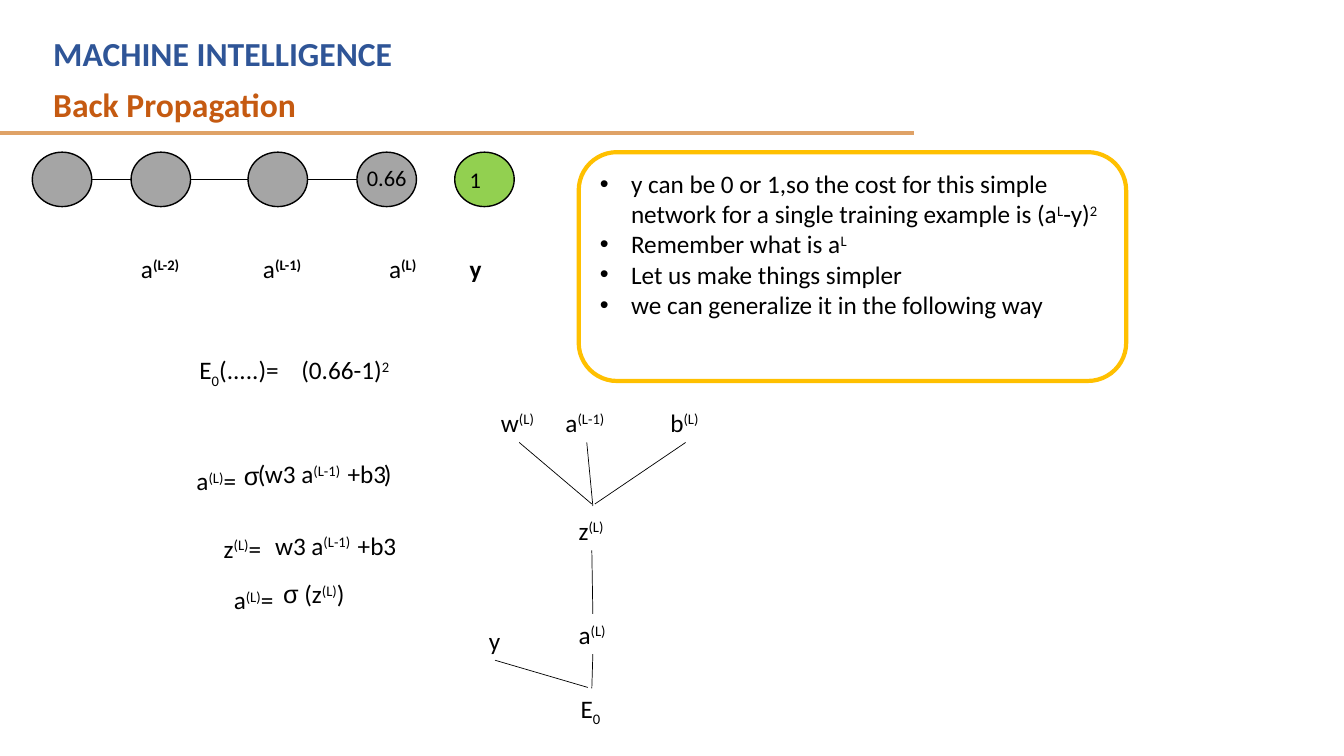
from lxml.etree import SubElement
from pptx import Presentation
from pptx.dml.color import RGBColor as Rgb
from pptx.enum.shapes import MSO_CONNECTOR as Conn, MSO_SHAPE as Shape
from pptx.enum.text import MSO_ANCHOR as Anchor, MSO_AUTO_SIZE as Auto, PP_ALIGN as Align
from pptx.oxml.ns import qn
from pptx.util import Pt

PX = 9144
HUES = {"blue": "2F5597", "rust": "C55A11", "tan": "DFA267", "gold": "FFC000",
        "gray": "A5A5A5", "green": "92D050", "black": "000000"}
BASE = {"^": "30000", "_": "-25000"}


def hue(name):
    return Rgb.from_string(HUES[name])


def emu(*nums):
    return [n * PX for n in nums]


def write(para, text, size=18, color="black", face="Calibri"):
    for part in text.split("|"):
        run = para.add_run()
        if part[0] in BASE:
            run._r.get_or_add_rPr().set("baseline", BASE[part[0]])
            part = part[1:]
        font = run.font
        font.bold = part[0] == "*"
        run.text = part.lstrip("*")
        font.size, font.name = Pt(size), face
        font.color.rgb = hue(color)


def label(slide, x, y, w, text, h=40, wrap=False, **style):
    frame = slide.shapes.add_textbox(*emu(x, y, w, h)).text_frame
    frame.word_wrap = wrap
    frame.auto_size = Auto.SHAPE_TO_FIT_TEXT
    write(frame.paragraphs[0], text, **style)


def line(slide, x1, y1, x2, y2, color="black", width=0.5):
    link = slide.shapes.add_connector(Conn.STRAIGHT, *emu(x1, y1, x2, y2))
    link.line.color.rgb = hue(color)
    link.line.width = Pt(width)
    SubElement(link._element.spPr, qn("a:effectLst"))


def panel(slide, kind, box, fill, edge, width):
    shape = slide.shapes.add_shape(kind, *emu(*box))
    shape.shadow.inherit = False
    if fill:
        shape.fill.solid()
        shape.fill.fore_color.rgb = hue(fill)
    else:
        shape.fill.background()
    shape.line.color.rgb = hue(edge)
    shape.line.width = Pt(width)
    return shape


def header(slide, x, y, w):
    line(slide, -1, y + 104, 907, y + 104, "tan", 3)
    rows = [("*MACHINE INTELLIGENCE", "blue"), ("*Back Propagation", "rust")]
    for i, (text, color) in enumerate(rows):
        label(slide, x, y + 50 * i, w, text, 50, True, size=24, color=color)


def note(slide, x, y, w, h):
    frame = panel(slide, Shape.ROUNDED_RECTANGLE, (x, y, w, h), None, "gold", 3).text_frame
    frame.word_wrap = True
    frame.vertical_anchor = Anchor.TOP
    rows = ["y can be 0 or 1,so the cost for this simple network "
            "for a single training example is (a|^L|-y)|^2",
            "Remember what is a|^L", "Let us make things simpler",
            "we can generalize it in the following way"]
    for i, text in enumerate(rows):
        para = frame.add_paragraph() if i else frame.paragraphs[0]
        para.alignment = Align.LEFT
        props = para._p.get_or_add_pPr()
        props.set("marL", str(31 * PX))
        props.set("indent", str(-31 * PX))
        SubElement(props, qn("a:buFont")).set("typeface", "Arial")
        SubElement(props, qn("a:buChar")).set("char", "•")
        write(para, text)


def network(slide, x, y):
    w, h = 59, 54
    spots = [0, 98, 214, 322, 419]
    for dx in spots:
        fill = "green" if dx == spots[-1] else "gray"
        panel(slide, Shape.OVAL, (x + dx, y, w, h), fill, "black", 1)
    for a, b in zip(spots[:3], spots[1:4]):
        line(slide, x + a + w, y + h // 2, x + b, y + h // 2)
    names = [(98, 62, "a|^*(L-2)"), (219, 62, "a|^*(L-1)"),
             (344, 49, "a|^*(L)"), (424, 32, "*y")]
    for dx, wide, text in names:
        label(slide, x + dx, y + 95, wide, text)
    for dx, dy, wide, text in [(322, 7, 71, "0.66"), (424, 9, 54, "1")]:
        label(slide, x + dx, y + dy, wide, text, 37, True, size=16)


def weights(slide, x, y):
    for dx, wide, text in [(0, 54, "w3"), (36, 62, "a|^(L-1)"), (82, 60, "+b3")]:
        label(slide, x + dx, y, wide, text)


def sums(slide, x, y):
    parts = [(3, 0, 100, "E|_0|(.....)="), (104, 0, 108, "(0.66-1)|^2"),
             (0, 110, 61, "a|^(L)|="), (61, 103, 28, "("), (186, 103, 28, ")"),
             (27, 177, 59, "z|^(L)|="),
             (37, 228, 61, "a|^(L)|="), (107, 222, 62, "(z|^(L)|)")]
    for dx, dy, wide, text in parts:
        label(slide, x + dx, y + dy, wide, text)
    for dx, dy in [(47, 105), (86, 222)]:
        label(slide, x + dx, y + dy, 28, "σ", face="Arial")
    weights(slide, x + 68, y + 103)
    weights(slide, x + 78, y + 174)


def tree(slide, x, y):
    nodes = [(12, 0, 55, "w|^(L)"), (76, 0, 62, "a|^(L-1)"), (180, 0, 50, "b|^(L)"),
             (89, 107, 47, "z|^(L)"), (89, 210, 49, "a|^(L)"),
             (0, 216, 31, "y"), (91, 284, 40, "E|_0")]
    for dx, dy, wide, text in nodes:
        label(slide, x + dx, y + dy, wide, text)
    links = [(40, 40, 112, 101), (107, 40, 113, 103), (205, 40, 115, 101),
             (112, 147, 113, 210), (113, 250, 112, 284), (16, 256, 108, 283)]
    for x1, y1, x2, y2 in links:
        line(slide, x + x1, y + y1, x + x2, y + y2)


def main():
    deck = Presentation()
    deck.slide_width, deck.slide_height = emu(1333, 750)
    slide = deck.slides.add_slide(deck.slide_layouts[6])
    header(slide, 43, 28, 820)
    note(slide, 574, 151, 543, 227)
    network(slide, 32, 151)
    sums(slide, 185, 347)
    tree(slide, 475, 399)
    deck.save("out.pptx")


if __name__ == "__main__":
    main()
